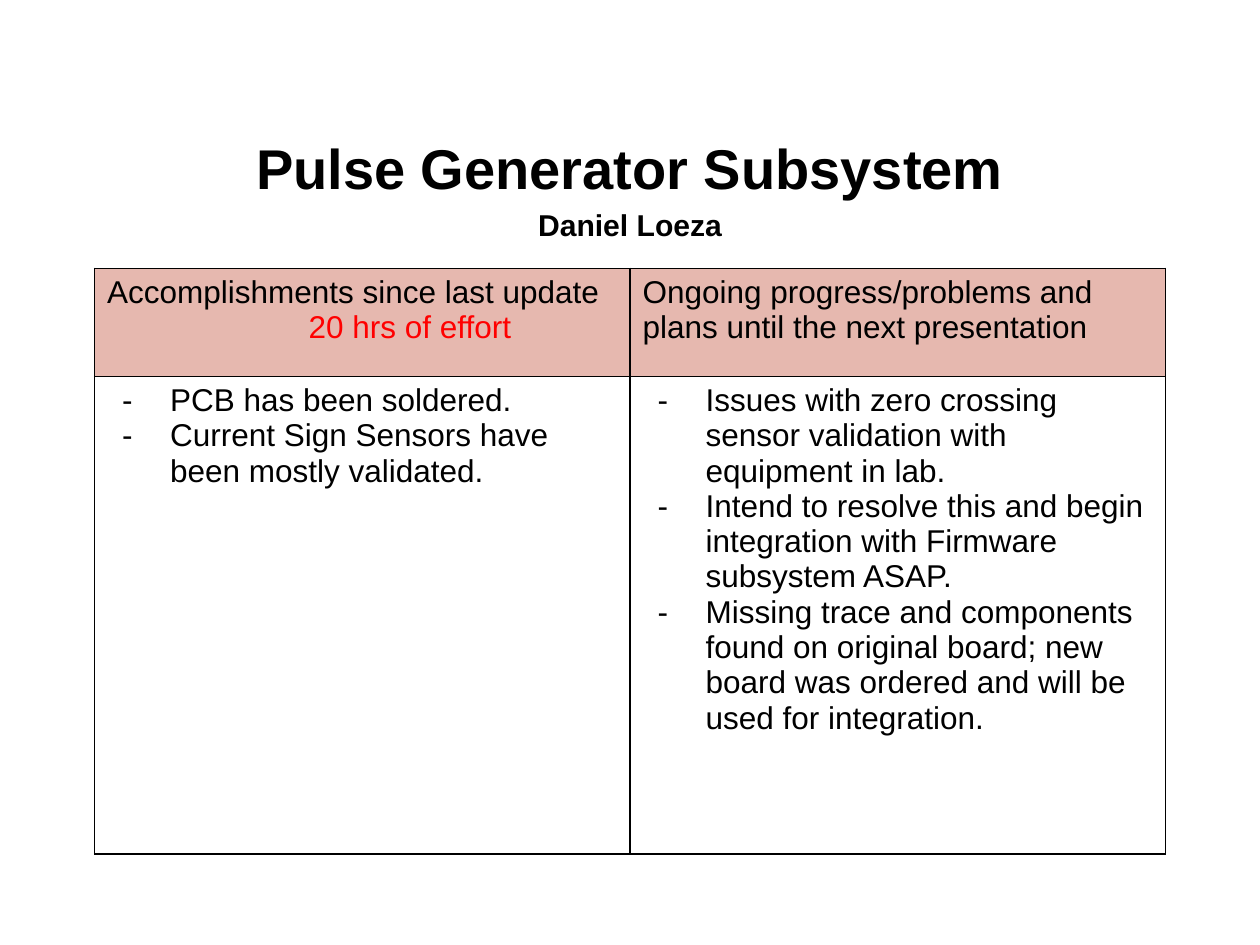
from lxml import etree
from pptx import Presentation
from pptx.dml.color import RGBColor
from pptx.enum.text import MSO_ANCHOR as Anchor, PP_ALIGN as Align
from pptx.oxml.ns import qn
from pptx.util import Inches, Pt

COLORS = {"black": "000000", "red": "FF0000", "header": "E6B8AF", "white": "FFFFFF"}


class SlideBuilder:
    font_name = "Arial"
    body_size = 18

    def __init__(self, slide):
        self.slide = slide

    def add_run(self, paragraph, text, size=body_size, color="black", bold=False):
        run = paragraph.add_run()
        run.text = text
        run.font.name = self.font_name
        run.font.size = Pt(size)
        run.font.bold = bold
        run.font.color.rgb = RGBColor.from_string(COLORS[color])

    def next_paragraph(self, frame):
        """Return the first paragraph while it is empty, else a new one."""
        first = frame.paragraphs[0]
        return frame.add_paragraph() if first.runs else first

    def add_title(self, lines, left, top, width, height):
        box = self.slide.shapes.add_textbox(
            Inches(left), Inches(top), Inches(width), Inches(height))
        frame = box.text_frame
        frame.word_wrap = True
        frame.vertical_anchor = Anchor.MIDDLE
        for text, size in lines:
            paragraph = self.next_paragraph(frame)
            paragraph.alignment = Align.CENTER
            paragraph.line_spacing = 1.15
            self.add_run(paragraph, text, size, bold=True)

    def add_table(self, left, top, column_widths, row_heights):
        table = self.slide.shapes.add_table(
            len(row_heights), len(column_widths), Inches(left), Inches(top),
            Inches(sum(column_widths)), Inches(sum(row_heights))).table
        for column, width in zip(table.columns, column_widths):
            column.width = Inches(width)
        for row, height in zip(table.rows, row_heights):
            row.height = Inches(height)
        for cell in table.iter_cells():
            self.add_borders(cell)
        return table

    def add_borders(self, cell):
        properties = cell._tc.get_or_add_tcPr()
        for side in ("lnL", "lnR", "lnT", "lnB"):
            line = etree.SubElement(properties, qn(f"a:{side}"), w=str(Pt(1)))
            fill = etree.SubElement(line, qn("a:solidFill"))
            etree.SubElement(fill, qn("a:srgbClr"), val=COLORS["black"])

    def fill_cell(self, cell, color):
        cell.fill.solid()
        cell.fill.fore_color.rgb = RGBColor.from_string(COLORS[color])

    def add_header(self, cell, lines):
        """Write lines of (text, color, left indent in inches)."""
        self.fill_cell(cell, "header")
        for text, color, indent in lines:
            paragraph = self.next_paragraph(cell.text_frame)
            paragraph._p.get_or_add_pPr().set("marL", str(Inches(indent)))
            self.add_run(paragraph, text, color=color)

    def add_bullets(self, cell, items):
        self.fill_cell(cell, "white")
        for item in items:
            paragraph = self.next_paragraph(cell.text_frame)
            properties = paragraph._p.get_or_add_pPr()
            properties.set("marL", str(Inches(0.5)))
            properties.set("indent", str(Inches(-0.38)))
            bullet_color = etree.SubElement(properties, qn("a:buClr"))
            etree.SubElement(bullet_color, qn("a:srgbClr"), val=COLORS["black"])
            etree.SubElement(properties, qn("a:buFont"), typeface=self.font_name)
            etree.SubElement(properties, qn("a:buChar"), char="-")
            self.add_run(paragraph, item)


def main():
    presentation = Presentation()
    presentation.slide_width = Inches(10)
    presentation.slide_height = Inches(7.5)
    builder = SlideBuilder(presentation.slides.add_slide(presentation.slide_layouts[6]))

    builder.add_title(
        [("Pulse Generator Subsystem", 32), ("Daniel Loeza", 17.2)], 0.5, 1.01, 9, 0.88)

    columns = [
        ([("Accomplishments since last update", "black", 0),
          ("20 hrs of effort", "red", 1.6)],
         ["PCB has been soldered.",
          "Current Sign Sensors have been mostly validated."]),
        ([("Ongoing progress/problems and plans until the next presentation", "black", 0)],
         ["Issues with zero crossing sensor validation with equipment in lab.",
          "Intend to resolve this and begin integration with Firmware subsystem ASAP.",
          "Missing trace and components found on original board; "
          "new board was ordered and will be used for integration."]),
    ]
    table = builder.add_table(0.75, 2.13, [4.25, 4.25], [0.86, 3.79])
    for index, (header, items) in enumerate(columns):
        builder.add_header(table.cell(0, index), header)
        builder.add_bullets(table.cell(1, index), items)

    presentation.save("out.pptx")


if __name__ == "__main__":
    main()
